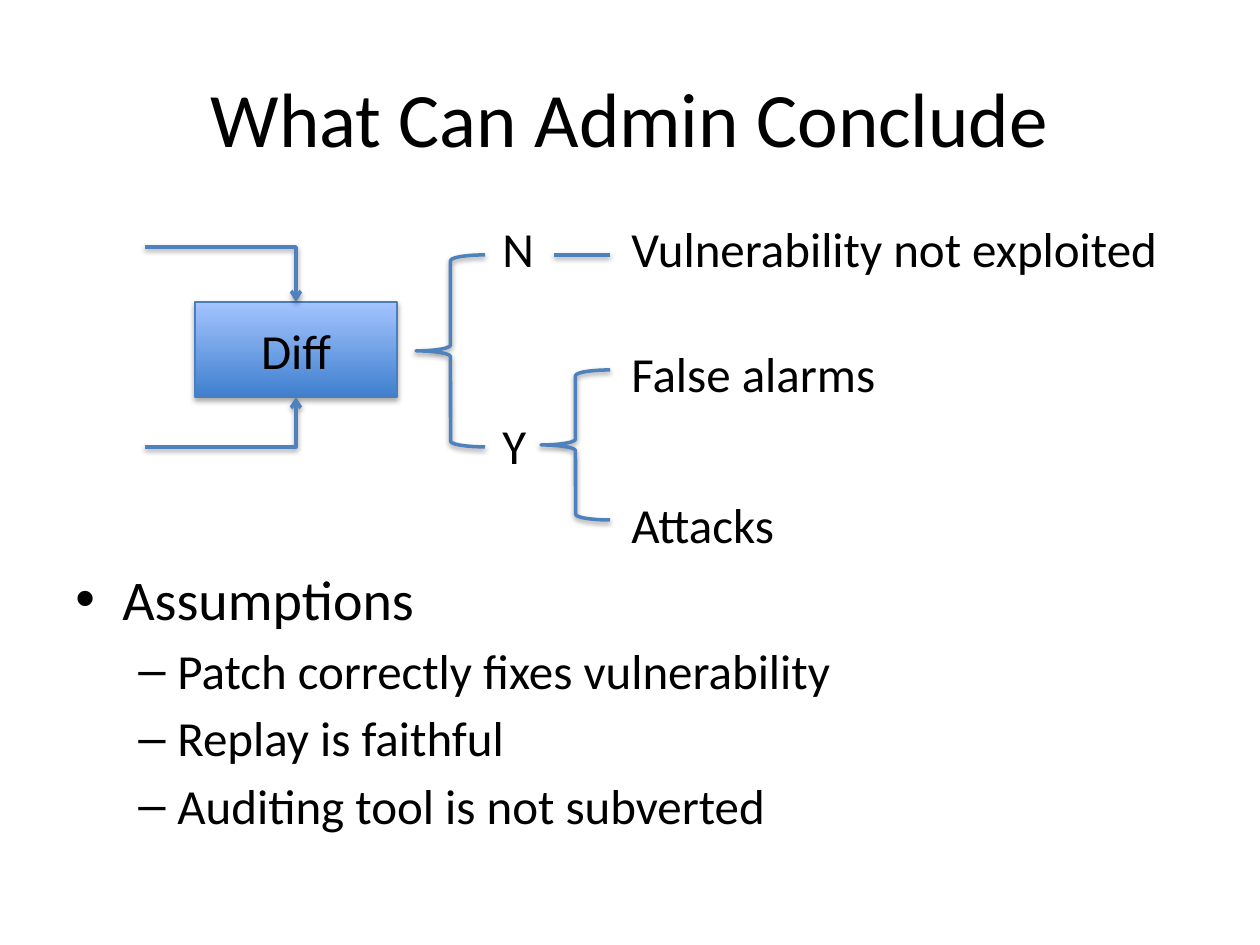
from lxml import etree
from pptx import Presentation, util as u
from pptx.dml import color
from pptx.enum import shapes, text
from pptx.oxml import ns

FONT, BLACK, BLUE = "Calibri", "000000", "4F81BD"


def px(count):
    """Turn pixels into EMU."""
    return u.Emu(round(count * 914400 / 126))


def rgb(value):
    """Turn a hex string into a colour."""
    return color.RGBColor.from_string(value)


def add_xml(parent, tag, **attributes):
    """Append a drawing element with the given attributes."""
    return etree.SubElement(parent, ns.qn(tag), attributes)


def style_line(part, value=BLUE, width=2, distance=20000, opacity=38000):
    """Give a shape or connector its line and soft shadow."""
    part.line.color.rgb = rgb(value)
    part.line.width = u.Pt(width)
    effects = add_xml(part._element.spPr, "a:effectLst")
    shadow = add_xml(effects, "a:outerShdw", blurRad="40000", dist=str(distance),
                     dir="5400000", rotWithShape="0")
    shade = add_xml(shadow, "a:srgbClr", val=BLACK)
    add_xml(shade, "a:alpha", val=str(opacity))


def style_text(para, size):
    """Set the font of a paragraph."""
    para.font.name = FONT
    para.font.size = u.Pt(size)
    para.font.color.rgb = rgb(BLACK)


def add_text(page, box, words, size=28, centred=False):
    """Add a text box with one paragraph."""
    frame = page.shapes.add_textbox(*map(px, box)).text_frame
    frame.word_wrap = True
    para = frame.paragraphs[0]
    para.text = words
    if centred:
        frame.vertical_anchor = text.MSO_ANCHOR.MIDDLE
        para.alignment = text.PP_ALIGN.CENTER
    style_text(para, size)


def add_brace(page, box):
    """Add a left brace."""
    brace = page.shapes.add_shape(shapes.MSO_SHAPE.LEFT_BRACE, *map(px, box))
    brace.fill.background()
    style_line(brace)


def add_bent_arrow(page, start, end):
    """Add an arrow that runs across and then turns once."""
    arrow = page.shapes.add_connector(shapes.MSO_CONNECTOR.ELBOW, *map(px, start + end))
    style_line(arrow)
    properties = arrow._element.spPr
    properties.find(ns.qn("a:prstGeom")).set("prst", "bentConnector2")
    add_xml(properties.find(ns.qn("a:ln")), "a:tailEnd", type="arrow")


def add_diff(page, left, top):
    """Add the Diff box and the two arrows into it."""
    width, height = 202, 95
    diff = page.shapes.add_shape(shapes.MSO_SHAPE.RECTANGLE,
                                 *map(px, (left, top, width, height)))
    diff.fill.gradient()
    diff.fill.gradient_angle = 90
    for stop, value, position in zip(diff.fill.gradient_stops, ("3F80CE", "A4C4FF"), (0, 1)):
        stop.color.rgb = rgb(value)
        stop.position = position
    style_line(diff, "4B7EBC", 0.75, 23000, 35000)
    diff.text_frame.vertical_anchor = text.MSO_ANCHOR.MIDDLE
    para = diff.text_frame.paragraphs[0]
    para.text = "Diff"
    para.alignment = text.PP_ALIGN.CENTER
    style_text(para, 28)
    middle = left + width // 2
    for source, target in ((top - 55, top), (top + 145, top + height)):
        add_bent_arrow(page, (left - 50, source), (middle, target))


def add_outcomes(page, left, top):
    """Add the tree of answers and conclusions."""
    add_brace(page, (left, top + 43, 69, 192))
    add_brace(page, (left + 125, top + 158, 69, 150))
    rule = page.shapes.add_connector(shapes.MSO_CONNECTOR.STRAIGHT, *map(
        px, (left + 138, top + 43, left + 194, top + 43)))
    style_line(rule)
    labels = (("N", 74, 0, 64), ("Y", 74, 197, 64),
              ("Vulnerability not exploited", 203, 0, 578),
              ("False alarms", 203, 125, 407), ("Attacks", 203, 276, 407))
    for words, across, down, width in labels:
        add_text(page, (left + across, top + down, width, 72), words)


def add_assumptions(page, box):
    """Add the bulleted list of assumptions."""
    frame = page.shapes.add_textbox(*map(px, box)).text_frame
    frame.word_wrap = True
    points = (("Assumptions", 0), ("Patch correctly fixes vulnerability", 1),
              ("Replay is faithful", 1), ("Auditing tool is not subverted", 1))
    levels = ((32, 47, 47, "•"), (28, 102, 39, "–"))
    for index, (words, level) in enumerate(points):
        size, margin, hanging, mark = levels[level]
        para = frame.add_paragraph() if index else frame.paragraphs[0]
        para.text = words
        para.level = level
        properties = para._p.get_or_add_pPr()
        properties.set("marL", str(px(margin)))
        properties.set("indent", str(-px(hanging)))
        add_xml(properties, "a:buFont", typeface="Arial")
        add_xml(properties, "a:buChar", char=mark)
        if index:
            para.space_before = u.Pt(5)
        style_text(para, size)


def main():
    """Build and save the deck."""
    deck = Presentation()
    deck.slide_width, deck.slide_height = px(1260), px(945)
    page = deck.slides.add_slide(deck.slide_layouts[6])
    add_text(page, (63, 38, 1134, 158), "What Can Admin Conclude", 44, centred=True)
    add_diff(page, 195, 302)
    add_outcomes(page, 416, 212)
    add_assumptions(page, (63, 558, 1134, 286))
    deck.save("out.pptx")


if __name__ == "__main__":
    main()
